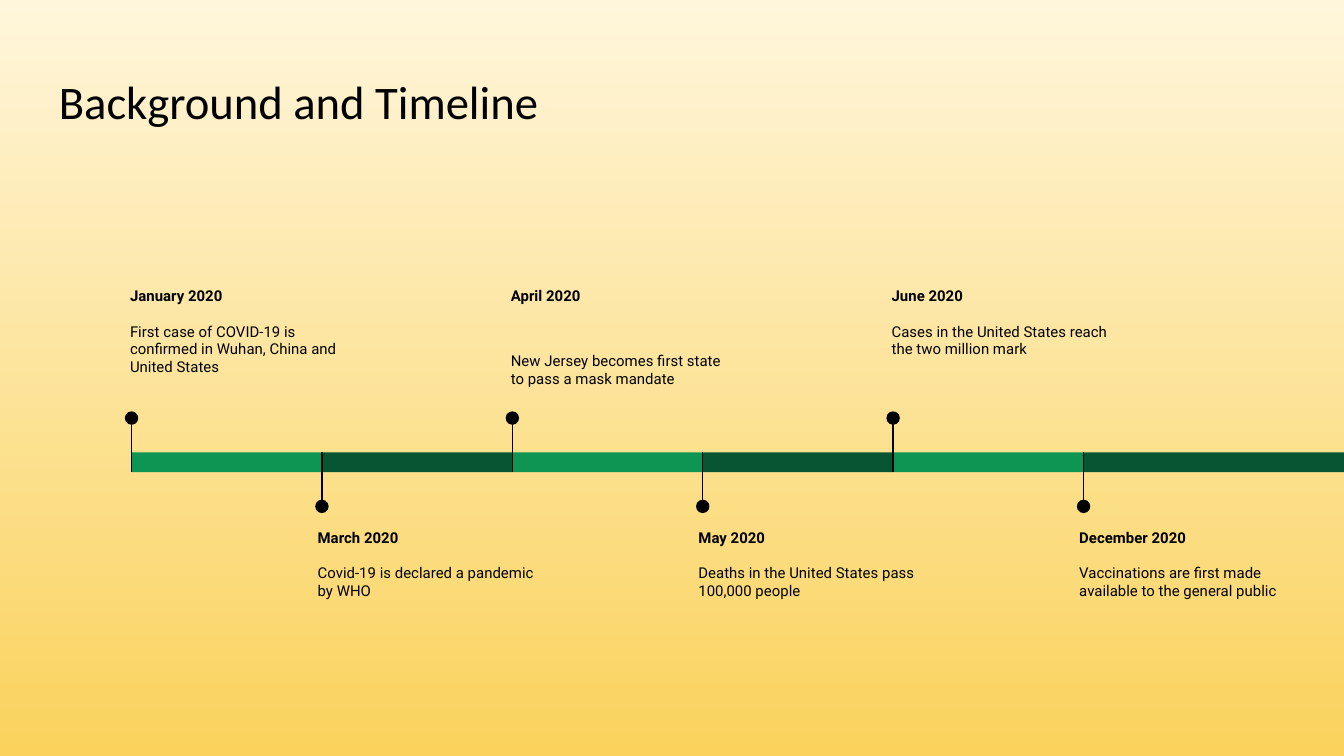
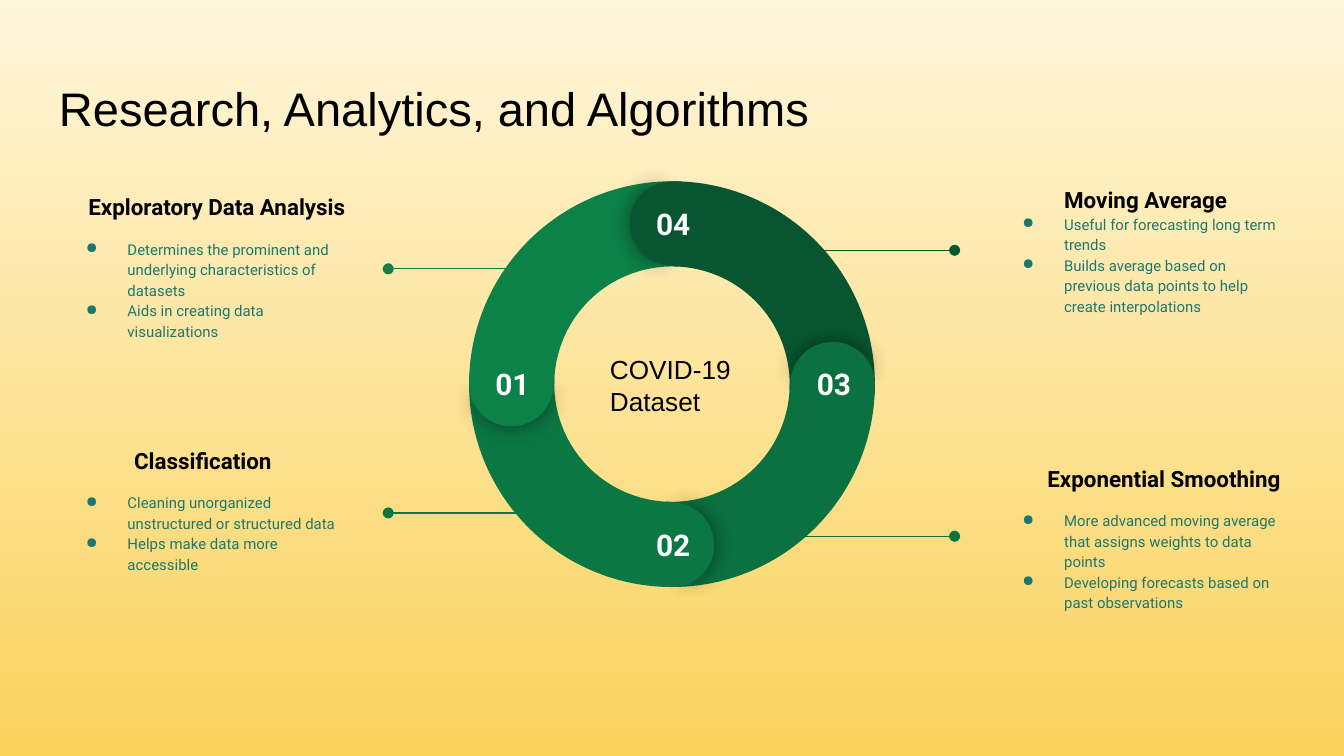
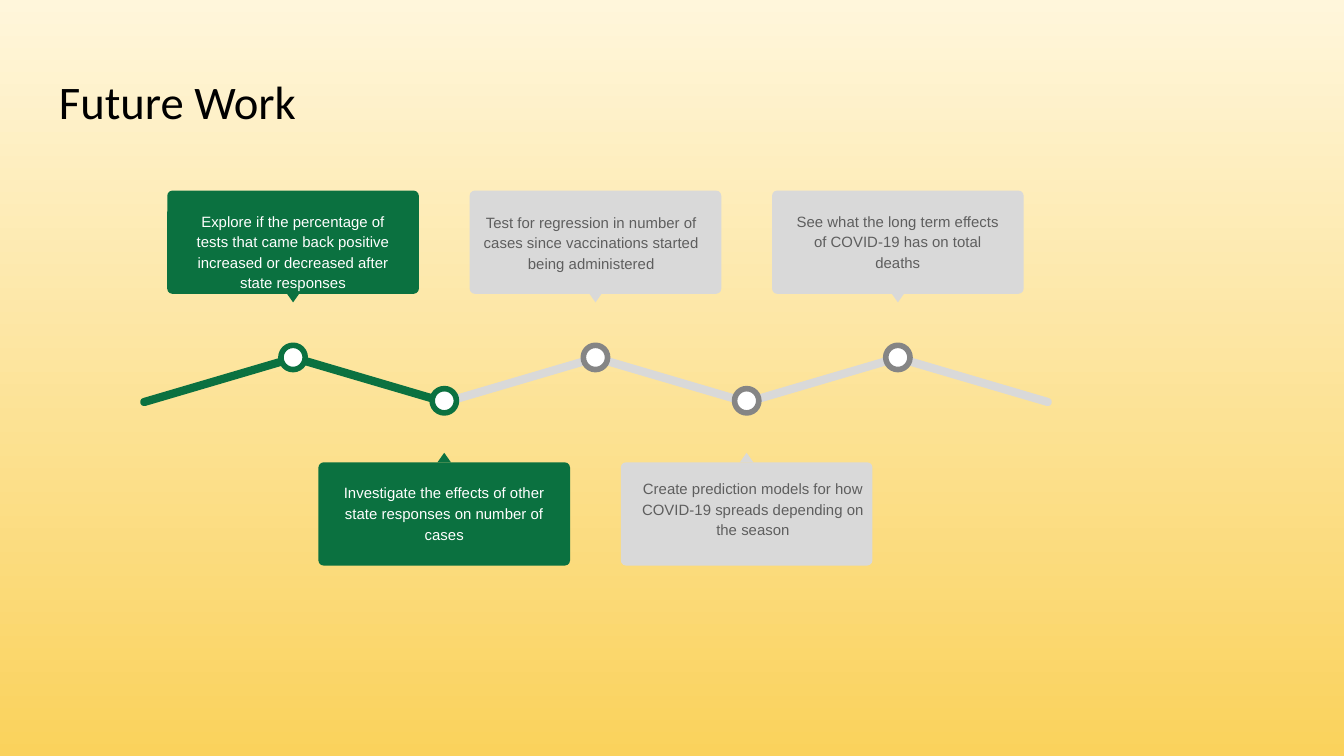
from math import cos, radians, sin

from lxml.etree import SubElement
from pptx import Presentation
from pptx.dml.color import RGBColor
from pptx.enum.shapes import MSO_CONNECTOR as LINE, MSO_SHAPE as SHAPE
from pptx.enum.text import MSO_ANCHOR as ANCHOR, PP_ALIGN as ALIGN
from pptx.oxml.ns import qn
from pptx.util import Pt

BLACK, WHITE, TEAL = "000000", "FFFFFF", "1B786E"
BRIGHT, DEEP, GREEN = "0E9453", "085631", "0B7140"
SILVER, GRAY, SLATE = "D9D9D9", "858585", "5E5E5E"
SKY = ("FFF6DB", "FAD25C")
WIDTH, HEIGHT = 720, 405
BULLET = dict(size=8, bold=False, color=TEAL, bullet="●", left=36, first=-22.3,
              spacing=1.15, align=ALIGN.LEFT)


def hue(code):
    """Turn a hex string into a colour."""
    return RGBColor.from_string(code)


def add_bullet(paragraph, mark, color):
    """Give a paragraph a coloured bullet mark."""
    props = paragraph._p.get_or_add_pPr()
    SubElement(SubElement(props, qn("a:buClr")), qn("a:srgbClr"), val=color)
    SubElement(props, qn("a:buChar"), char=mark)


def style(paragraph, font="Roboto", size=8, color=BLACK, bold=False, align=ALIGN.LEFT,
          spacing=None, before=0, after=0, left=0, first=0, bullet=None):
    """Format one paragraph."""
    face = paragraph.font
    face.name, face.size, face.bold = font, Pt(size), bold
    face.color.rgb = hue(color)
    paragraph.alignment = align
    paragraph.space_before, paragraph.space_after = Pt(before), Pt(after)
    if spacing:
        paragraph.line_spacing = spacing
    props = paragraph._p.get_or_add_pPr()
    props.set("marL", str(Pt(left)))
    props.set("indent", str(Pt(first)))
    if bullet:
        add_bullet(paragraph, bullet, color)


def write(slide, box, *lines, anchor=ANCHOR.TOP, **look):
    """Write lines in a box, each a text or a pair of text and its own format."""
    frame = slide.shapes.add_textbox(*map(Pt, box)).text_frame
    frame.word_wrap, frame.vertical_anchor = True, anchor
    frame.margin_left = frame.margin_right = Pt(7.2)
    frame.margin_top = frame.margin_bottom = Pt(7.2)
    for index, line in enumerate(lines):
        text, own = (line, {}) if isinstance(line, str) else line
        paragraph = frame.add_paragraph() if index else frame.paragraphs[0]
        paragraph.text = text
        style(paragraph, **{**look, **own})


def draw(slide, kind, box, fill, outline=None, turn=0, bends=()):
    """Draw a flat preset shape."""
    shape = slide.shapes.add_shape(kind, *map(Pt, box))
    shape.shadow.inherit = False
    shape.fill.solid()
    shape.fill.fore_color.rgb = hue(fill)
    if outline:
        shape.line.color.rgb = hue(outline)
        shape.line.width = Pt(3)
    else:
        shape.line.fill.background()
    shape.rotation = turn
    for index, bend in enumerate(bends):
        shape.adjustments[index] = bend
    return shape


def glow(shape):
    """Surround a shape with a soft dark shadow."""
    effects = shape._element.spPr.find(qn("a:effectLst"))
    shadow = SubElement(effects, qn("a:outerShdw"), blurRad=str(Pt(11.2)), dist="0",
                        dir="0", algn="ctr", rotWithShape="0")
    tone = SubElement(shadow, qn("a:srgbClr"), val=BLACK)
    SubElement(tone, qn("a:alpha"), val="43000")


def rule(slide, start, end, color, knob=False):
    """Draw a thin line, with a round knob at its end if asked."""
    line = slide.shapes.add_connector(LINE.STRAIGHT, *map(Pt, (*start, *end)))
    line.line.color.rgb = hue(color)
    line.line.width = Pt(0.75)
    if knob:
        SubElement(line.line._get_or_add_ln(), qn("a:tailEnd"), type="oval")
    SubElement(line._element.spPr, qn("a:effectLst"))


def new_slide(deck, title, **look):
    """Add a slide with the shared gradient and title."""
    slide = deck.slides.add_slide(deck.slide_layouts[6])
    fill = slide.background.fill
    fill.gradient()
    fill.gradient_angle = 270
    for stop, color, place in zip(fill.gradient_stops, SKY, (0, 1)):
        stop.color.rgb, stop.position = hue(color), place
    title_look = dict(font="Calibri", size=25, spacing=0.9)
    write(slide, (24.5, 35.3, 671, 45.4), title, **{**title_look, **look})
    return slide


def timeline(slide, left, top, events):
    """Lay events along a bar, in turn above and below it."""
    step, thick, dot = 102, 10.6, 7.2
    for index, (month, event, gap) in enumerate(events):
        x, above = left + step * index, index % 2 == 0
        length = step if index < len(events) - 1 else WIDTH - x
        draw(slide, SHAPE.RECTANGLE, (x, top, length, thick), BRIGHT if above else DEEP)
        dot_top = top - 22 if above else top + 25.3
        far = top + thick if above else top
        rule(slide, (x, dot_top + dot / 2), (x, far), BLACK)
        draw(slide, SHAPE.OVAL, (x - dot / 2, dot_top, dot, dot), BLACK)
        corner = (x - 7.9, top - 96.2) if above else (x - 9.4, top + 33.4)
        write(slide, (*corner, 132.5, 74.2), (month, dict(bold=True)),
              (event, dict(before=gap, after=16)))


def ring(slide, left, top, size, parts):
    """Draw a ring of overlapping numbered quarters around a label."""
    cap = 0.208 * size
    middle_x, middle_y, radius = left + size / 2, top + size / 2, (size - cap) / 2
    for angle, (_, color) in zip(range(0, 360, 90), parts):
        draw(slide, SHAPE.BLOCK_ARC, (left, top, size, size), color,
             turn=(angle + 150) % 360, bends=(126.23, 181.77, 0.21))
    for angle, (number, color) in zip(range(0, 360, 90), parts):
        x = middle_x + radius * cos(radians(angle))
        y = middle_y + radius * sin(radians(angle))
        spot = (x - cap / 2, y - cap / 2, cap, cap)
        glow(draw(slide, SHAPE.PIE, spot, color, turn=(angle + 90.7) % 360,
                  bends=(61.9, 149.96)))
        draw(slide, SHAPE.PIE, spot, color, turn=(angle + 270) % 360,
             bends=(40.28, 171.84))
        write(slide, (x - 19.2, y - 16.9, 39.6, 20.9), number, size=16, bold=True,
              color=WHITE, align=ALIGN.CENTER)
    write(slide, (middle_x - 40.3, middle_y - 23.6, 81.4, 48.2), "COVID-19", "Dataset",
          font="Arial", size=14)


def method(slide, left, top, heading, look, points):
    """Write a method's heading and its bullet points."""
    head = (heading, dict(size=12, bold=True, **look))
    write(slide, (left, top, 167, 101.5), head, *[(point, BULLET) for point in points],
          anchor=ANCHOR.MIDDLE)


def zigzag(slide, left, top, step, done, count):
    """Draw a path that climbs and falls, green as far as it is done."""
    for index in reversed(range(count)):
        draw(slide, SHAPE.ROUNDED_RECTANGLE, (left + step * index, top, 87.8, 4.4),
             GREEN if index < done else SILVER,
             turn=16.4 if index % 2 else 343.6, bends=(0.5,))


def milestone(slide, x, y, above, done, task, indent=64, measure=128, drop=3):
    """Mark a point of the path and set its card above or below it."""
    fill, ink, edge = (GREEN, WHITE, GREEN) if done else (SILVER, SLATE, GRAY)
    card_top = y - 89.4 if above else y + 33
    tip_top = y - 34.6 if above else y + 27.9
    draw(slide, SHAPE.OVAL, (x - 6.5, y - 6.5, 13, 13), WHITE, outline=edge)
    draw(slide, SHAPE.ROUNDED_RECTANGLE, (x - 67.4, card_top, 134.8, 55.3), fill,
         bends=(0.05,))
    draw(slide, SHAPE.ISOSCELES_TRIANGLE, (x - 3.6, tip_top, 7.2, 5.1), fill,
         turn=180 if above else 0)
    write(slide, (x - indent, card_top + drop, measure, 49), task, font="Arial",
          color=ink, align=ALIGN.CENTER, spacing=1.15)


def background_slide(deck):
    """Build the timeline of the pandemic."""
    slide = new_slide(deck, "Background and Timeline")
    timeline(slide, 70.5, 242.4, [
        ("January 2020", "First case of COVID-19 is confirmed in Wuhan, China and "
         "United States", 9.6),
        ("March 2020", "Covid-19 is declared a pandemic by WHO", 9.6),
        ("April 2020", "New Jersey becomes first state to pass a mask mandate", 25.6),
        ("May 2020", "Deaths in the United States pass 100,000 people", 9.6),
        ("June 2020", "Cases in the United States reach the two million mark", 9.6),
        ("December 2020", "Vaccinations are first made available to the general public",
         9.6),
    ])


def research_slide(deck):
    """Build the ring of four methods."""
    slide = new_slide(deck, "Research, Analytics, and Algorithms", font="Arial",
                      size=25.2, spacing=1)
    explore, classify = "0C8148", "0B7743"
    ring(slide, 251.3, 97.1, 217.4,
         [("03", GREEN), ("02", classify), ("01", explore), ("04", DEEP)])
    methods = [
        (25.2, 92.2, "Exploratory Data Analysis", dict(align=ALIGN.RIGHT, after=9.4),
         ["Determines the prominent and underlying characteristics of datasets",
          "Aids in creating data visualizations"], 290, 208, 144, explore),
        (25.2, 222.5, "Classification", dict(align=ALIGN.CENTER, after=9.4),
         ["Cleaning unorganized unstructured or structured data",
          "Helps make data more accessible"], 311, 208, 274.8, classify),
        (527, 83.5, "Moving Average", dict(left=36),
         ["Useful for forecasting long term trends",
          "Builds average based on previous data points to help create interpolations"],
         410.4, 511.4, 134.1, DEEP),
        (527, 237.6, "Exponential Smoothing", dict(left=27, after=9.4),
         ["More advanced moving average that assigns weights to data points",
          "Developing forecasts based on past observations"],
         410.4, 511.4, 287.3, GREEN),
    ]
    for left, top, heading, look, points, start, end, level, color in methods:
        method(slide, left, top, heading, look, points)
        rule(slide, (start, level), (end, level), color, knob=True)


def future_slide(deck):
    """Build the path of future tasks."""
    slide = new_slide(deck, "Future Work")
    zigzag(slide, 73.4, 201.4, 80.8, 2, 6)
    tasks = [
        ("Explore if the percentage of tests that came back positive increased or "
         "decreased after state responses", {}),
        ("Investigate the effects of other state responses on number of cases", {}),
        ("Test for regression in number of cases since vaccinations started being "
         "administered", dict(indent=71.3, measure=138.2, drop=3.6)),
        ("Create prediction models for how COVID-19 spreads depending on the season",
         dict(measure=134.8, drop=0.8)),
        ("See what the long term effects of COVID-19 has on total deaths", {}),
    ]
    for index, (task, fit) in enumerate(tasks):
        above = index % 2 == 0
        milestone(slide, 157 + 81 * index, 191.5 if above else 214.7, above, index < 2,
                  task, **fit)


def main():
    """Build and save the deck."""
    deck = Presentation()
    deck.slide_width, deck.slide_height = Pt(WIDTH), Pt(HEIGHT)
    background_slide(deck)
    research_slide(deck)
    future_slide(deck)
    deck.save("out.pptx")


if __name__ == "__main__":
    main()
